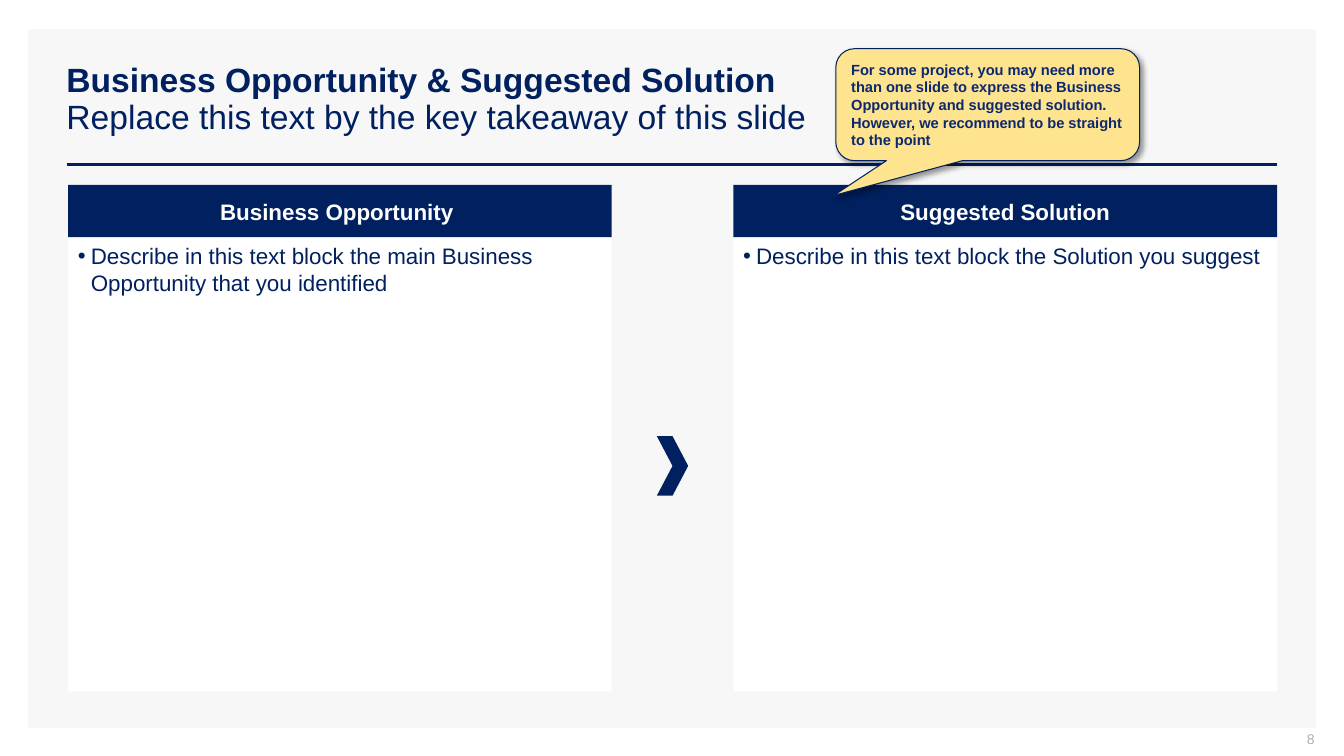
from lxml.etree import SubElement
from pptx import Presentation
from pptx.dml.color import RGBColor
from pptx.enum.shapes import MSO_CONNECTOR, MSO_SHAPE
from pptx.enum.text import MSO_ANCHOR, PP_ALIGN
from pptx.oxml.ns import qn
from pptx.util import Pt

COLORS = {
    "navy": "002060",
    "panel": "F7F7F7",
    "white": "FFFFFF",
    "note": "FFE48F",
    "note_text": "0C2870",
    "grey": "ADAFBB",
    "black": "000000",
}
FONT = "Arial"


def rgb(name):
    """Return the named colour."""
    return RGBColor.from_string(COLORS[name])


def add_block(slide, box, fill, shape=MSO_SHAPE.RECTANGLE):
    """Add a filled shape without outline or shadow."""
    s = slide.shapes.add_shape(shape, *map(Pt, box))
    s.shadow.inherit = False
    s.fill.solid()
    s.fill.fore_color.rgb = rgb(fill)
    s.line.fill.background()
    return s


def write(s, text, size, color, bold=False, align=PP_ALIGN.LEFT, anchor=MSO_ANCHOR.MIDDLE):
    """Put one formatted paragraph in a shape and return it."""
    tf = s.text_frame
    tf.word_wrap = True
    tf.vertical_anchor = anchor
    tf.text = text
    p = tf.paragraphs[0]
    p.alignment = align
    for r in p.runs:
        r.font.name = FONT
        r.font.size = Pt(size)
        r.font.bold = bold
        r.font.color.rgb = rgb(color)
    return p


def add_bullet(p, indent):
    """Give a paragraph a round bullet with a hanging indent."""
    pPr = p._p.get_or_add_pPr()
    pPr.set("marL", str(Pt(indent)))
    pPr.set("indent", str(-Pt(indent)))
    color = SubElement(pPr, qn("a:buClr"))
    SubElement(color, qn("a:srgbClr"), val=COLORS["navy"])
    SubElement(pPr, qn("a:buFont"), typeface=FONT)
    SubElement(pPr, qn("a:buChar"), char="•")


def add_header(slide, box):
    """Add the two-line title and the rule below it."""
    left, top, width, height = box
    s = slide.shapes.add_textbox(*map(Pt, (left - 7.2, top, width + 7.2, height)))
    p = write(s, "Business Opportunity & Suggested Solution\v"
              "Replace this text by the key takeaway of this slide", 24, "navy")
    p.line_spacing = 0.9
    p.runs[0].font.bold = True
    y = top + height + 3
    rule = slide.shapes.add_connector(
        MSO_CONNECTOR.STRAIGHT, Pt(left), Pt(y), Pt(left + width), Pt(y))
    rule.line.color.rgb = rgb("navy")
    rule.line.width = Pt(2)
    SubElement(rule._element.spPr, qn("a:effectLst"))


def add_column(slide, box, heading, body):
    """Add a heading bar with a bulleted text block under it."""
    left, top, width, height = box
    bar = 37.6
    s = add_block(slide, (left, top, width, bar), "navy")
    write(s, heading, 16, "white", True, PP_ALIGN.CENTER)
    s = add_block(slide, (left, top + bar, width, height - bar), "white")
    p = write(s, body, 16, "navy", anchor=MSO_ANCHOR.TOP)
    p.space_before = p.space_after = Pt(6)
    add_bullet(p, 9.2)


def add_columns(slide, box):
    """Add the two columns and the chevron centred between them."""
    left, top, width, height = box
    column = 388.4
    texts = [
        ("Business Opportunity ",
         "Describe in this text block the main Business Opportunity that you identified"),
        ("Suggested Solution", "Describe in this text block the Solution you suggest"),
    ]
    for i, (heading, body) in enumerate(texts):
        x = left + i * (width - column)
        add_column(slide, (x, top, column, height), heading, body)
    w, h = 22.4, 42.6
    middle = top + height * 0.555
    add_block(slide, (left + (width - w) / 2, middle - h / 2, w, h), "navy", MSO_SHAPE.CHEVRON)


def add_note(slide, box):
    """Add the yellow callout with its soft shadow."""
    s = add_block(slide, box, "note", MSO_SHAPE.ROUNDED_RECTANGULAR_CALLOUT)
    for i, value in enumerate((-0.507, 0.811, 0.167)):
        s.adjustments[i] = value
    s.line.color.rgb = rgb("navy")
    s.line.width = Pt(0.75)
    effects = s._element.spPr.find(qn("a:effectLst"))
    shadow = SubElement(effects, qn("a:outerShdw"), blurRad=str(Pt(4)), dist=str(Pt(3)),
                        dir="2700000", algn="tl", rotWithShape="0")
    color = SubElement(shadow, qn("a:srgbClr"), val=COLORS["black"])
    SubElement(color, qn("a:alpha"), val="40000")
    p = write(s, "For some project, you may need more than one slide to express the Business "
              "Opportunity and suggested solution. However, we recommend to be straight "
              "to the point", 10.5, "note_text", True)
    p.space_before = p.space_after = Pt(3)


def add_page_number(slide, box):
    """Add the page number at the right of its box."""
    s = slide.shapes.add_textbox(*map(Pt, box))
    tf = s.text_frame
    tf.margin_top = tf.margin_right = 0
    write(s, "8", 10, "grey", align=PP_ALIGN.RIGHT)


def main():
    """Build and save the slide."""
    prs = Presentation()
    prs.slide_width, prs.slide_height = Pt(960), Pt(540)
    slide = prs.slides.add_slide(prs.slide_layouts[6])
    add_block(slide, (20, 21, 920, 499), "panel")
    add_header(slide, (47.6, 28.8, 864.6, 85.6))
    add_page_number(slide, (723, 522, 216, 15))
    add_columns(slide, (48.6, 132, 863.6, 361.8))
    add_note(slide, (597, 34.8, 217, 80))
    prs.save("out.pptx")


if __name__ == "__main__":
    main()
